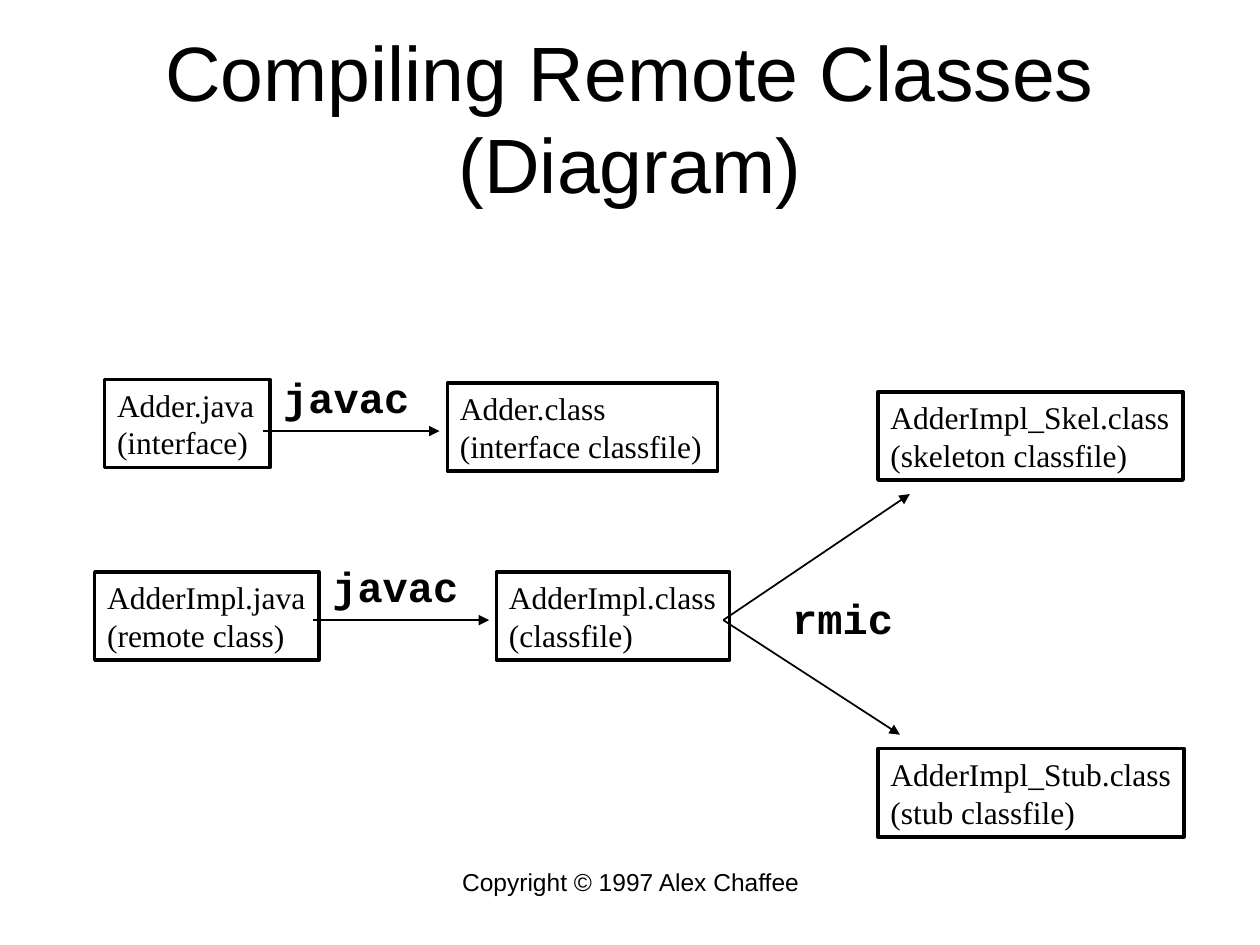
from lxml.etree import SubElement
from pptx import Presentation
from pptx.dml.color import RGBColor
from pptx.enum.shapes import MSO_CONNECTOR, MSO_SHAPE
from pptx.enum.text import MSO_ANCHOR, MSO_AUTO_SIZE, PP_ALIGN
from pptx.oxml.ns import qn
from pptx.util import Cm, Pt

COLORS = {"ink": "000000", "paper": "FFFFFF"}
FILE_HEIGHT = 1.78
LABEL_HEIGHT = 1.27

# left, top, width, lines
FILES = [
    (2.11, 7.65, 3.33, ["Adder.java", "(interface)"]),
    (9.02, 7.72, 5.45, ["Adder.class", "(interface classfile)"]),
    (1.91, 11.53, 4.52, ["AdderImpl.java", "(remote class)"]),
    (10.01, 11.53, 4.7, ["AdderImpl.class", "(classfile)"]),
    (17.7, 7.9, 6.15, ["AdderImpl_Skel.class", "(skeleton classfile)"]),
    (17.7, 15.09, 6.17, ["AdderImpl_Stub.class", "(stub classfile)"]),
]
# left, top, width, command
COMMANDS = [
    (5.46, 7.37, 3.05, "javac"),
    (6.45, 11.18, 3.05, "javac"),
    (15.72, 11.81, 2.54, "rmic"),
]
# start x, start y, end x, end y
ARROWS = [
    (5.31, 8.69, 8.86, 8.69),
    (6.3, 12.5, 9.86, 12.5),
    (14.58, 12.5, 18.34, 9.96),
    (14.58, 12.5, 18.14, 14.81),
]


def color(name):
    return RGBColor.from_string(COLORS[name])


def write(frame, lines, font, size, bold=False, align=PP_ALIGN.LEFT):
    """Fill a text frame with one paragraph per line, all in one style."""
    frame.text = "\n".join(lines)
    for para in frame.paragraphs:
        para.alignment = align
        para.font.name = font
        para.font.size = Pt(size)
        para.font.bold = bold
        para.font.color.rgb = color("ink")


def fit_to_text(frame):
    frame.word_wrap = False
    frame.auto_size = MSO_AUTO_SIZE.SHAPE_TO_FIT_TEXT


def add_title(page, text):
    title = page.shapes.title
    title.left, title.top = Cm(1.27), Cm(0.76)
    title.width, title.height = Cm(22.86), Cm(3.18)
    frame = title.text_frame
    frame.auto_size = MSO_AUTO_SIZE.NONE
    frame.vertical_anchor = MSO_ANCHOR.MIDDLE
    write(frame, [text], "Arial", 44, align=PP_ALIGN.CENTER)


def add_file(page, left, top, width, lines):
    box = page.shapes.add_shape(
        MSO_SHAPE.RECTANGLE, Cm(left), Cm(top), Cm(width), Cm(FILE_HEIGHT))
    box.shadow.inherit = False
    box.fill.background()
    box.line.color.rgb = color("ink")
    box.line.width = Pt(2)
    box.text_frame.vertical_anchor = MSO_ANCHOR.TOP
    fit_to_text(box.text_frame)
    write(box.text_frame, lines, "Times New Roman", 18)


def add_command(page, left, top, width, command):
    box = page.shapes.add_textbox(Cm(left), Cm(top), Cm(width), Cm(LABEL_HEIGHT))
    fit_to_text(box.text_frame)
    write(box.text_frame, [command], "Courier New", 24, bold=True)


def add_arrow(page, *ends):
    arrow = page.shapes.add_connector(
        MSO_CONNECTOR.STRAIGHT, *[Cm(value) for value in ends])
    arrow.line.color.rgb = color("ink")
    arrow.line.width = Pt(1)
    SubElement(arrow.line._get_or_add_ln(), qn("a:tailEnd"), type="triangle")
    SubElement(arrow._element.spPr, qn("a:effectLst"))


def add_copyright(page, text):
    box = page.shapes.add_textbox(Cm(8.69), Cm(17.35), Cm(8.05), Cm(1.32))
    box.text_frame.word_wrap = True
    write(box.text_frame, [text], "Arial", 14, align=PP_ALIGN.CENTER)


def main():
    deck = Presentation()
    deck.slide_width, deck.slide_height = Cm(25.4), Cm(19.05)
    page = deck.slides.add_slide(deck.slide_layouts[5])
    page.background.fill.solid()
    page.background.fill.fore_color.rgb = color("paper")

    add_title(page, "Compiling Remote Classes (Diagram)")
    for file in FILES:
        add_file(page, *file)
    for arrow in ARROWS:
        add_arrow(page, *arrow)
    for command in COMMANDS:
        add_command(page, *command)
    add_copyright(page, "Copyright © 1997 Alex Chaffee")
    deck.save("out.pptx")


if __name__ == "__main__":
    main()
